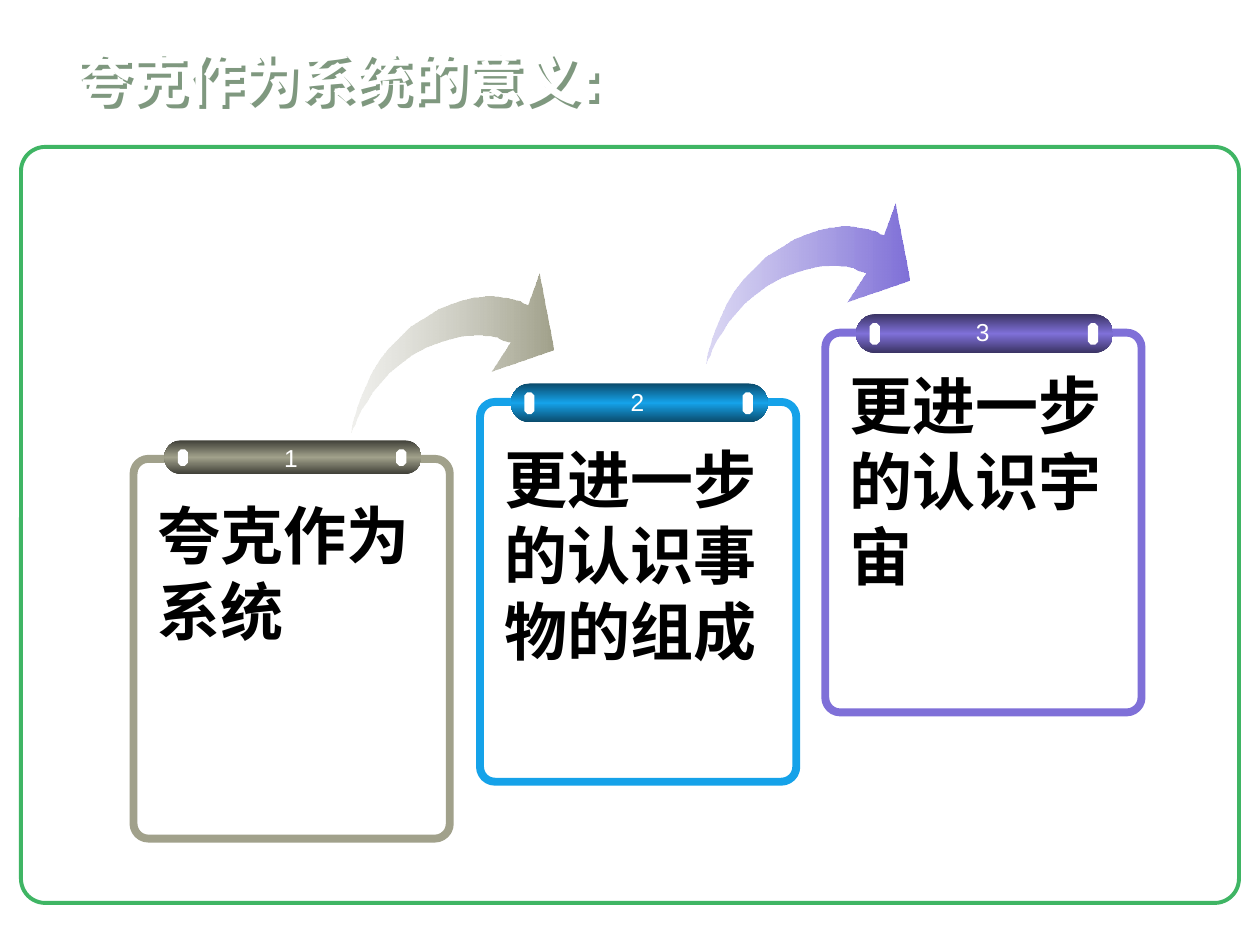
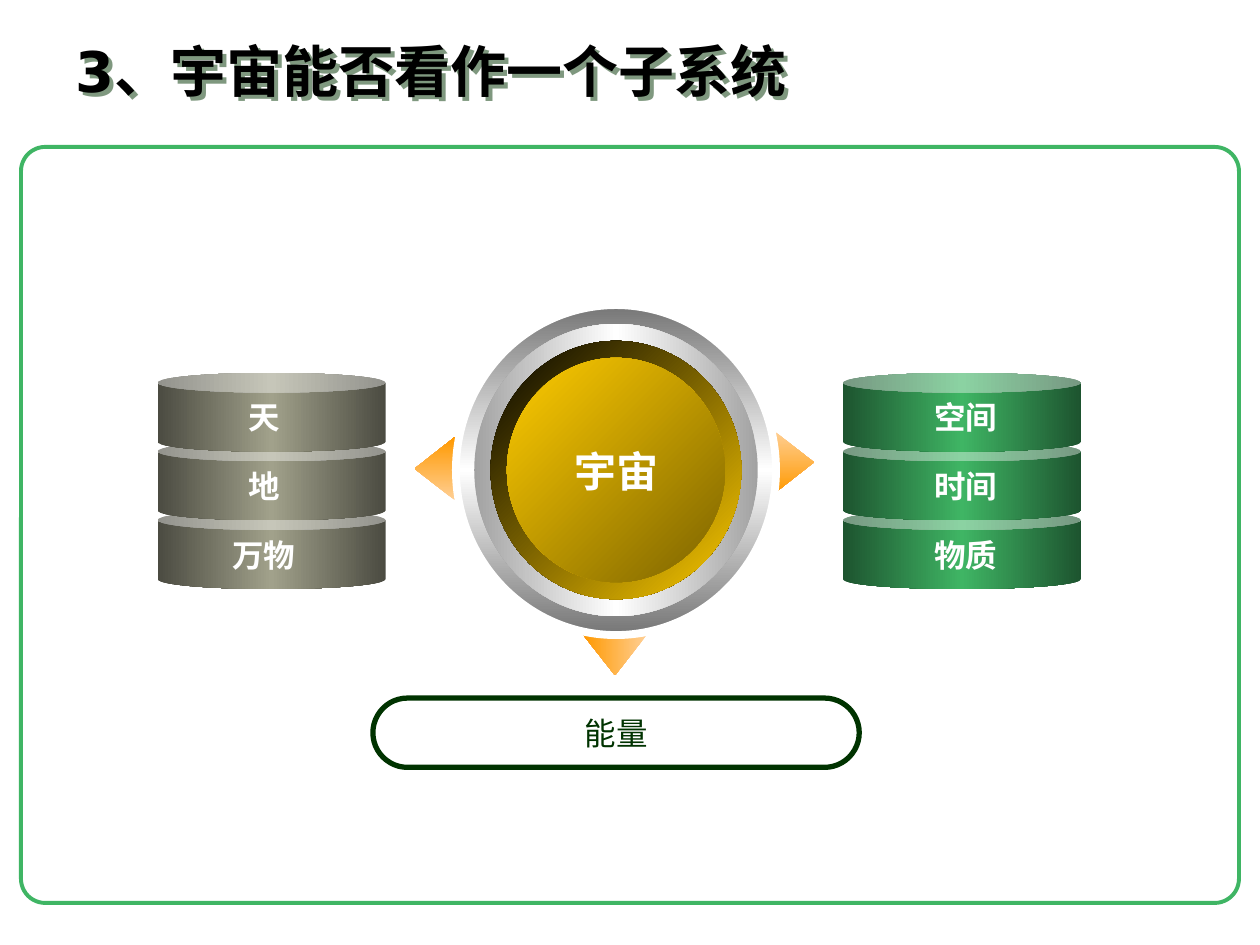
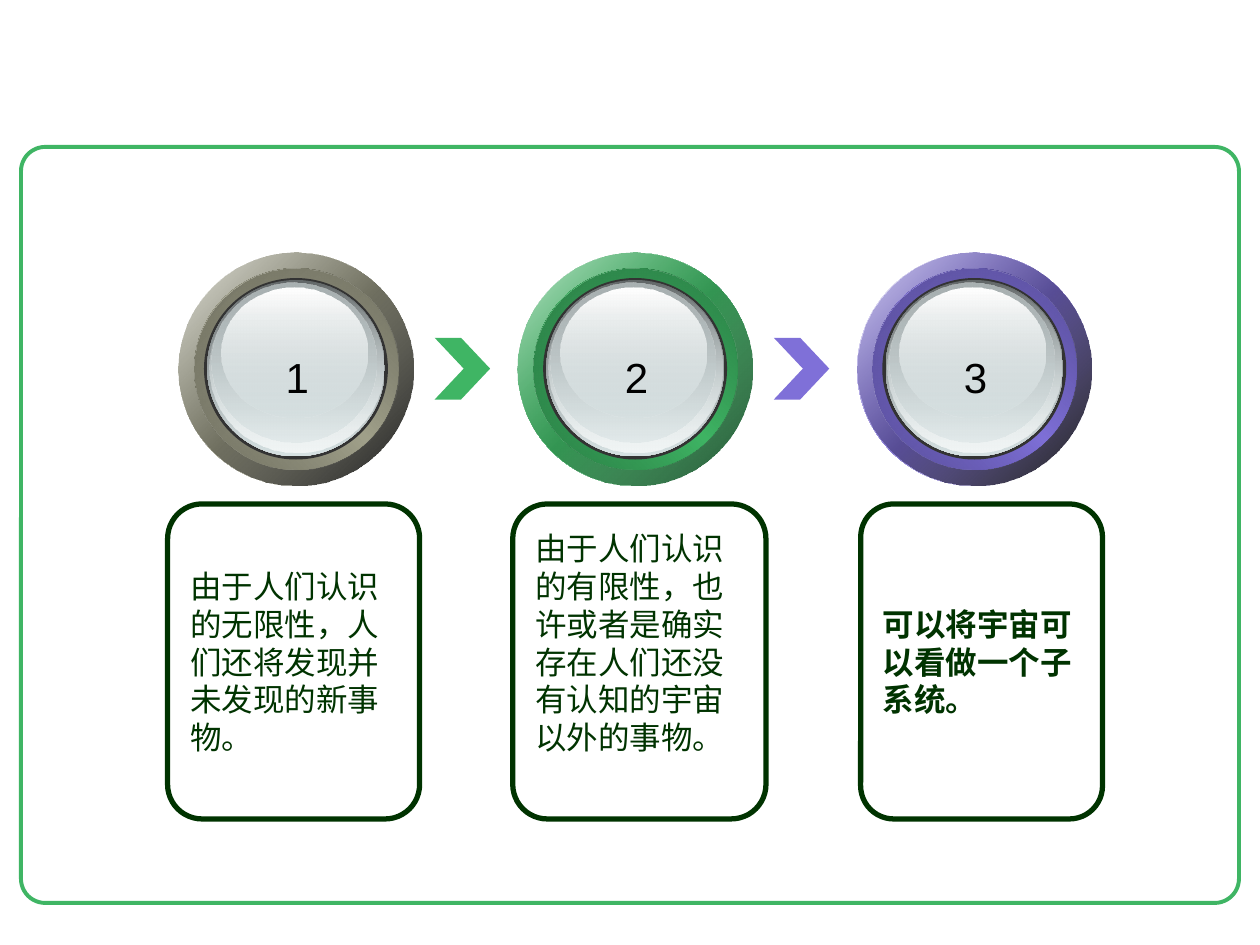
from dataclasses import dataclass

from pptx import Presentation
from pptx import util as u
from pptx.dml.color import RGBColor
from pptx.enum import shapes, text
from pptx.oxml import parse_xml
from pptx.oxml.ns import nsdecls, qn

Pt = u.Pt
G = shapes.MSO_SHAPE


@dataclass(frozen=True)
class Theme:
    green: str = "3FB564"
    olive: str = "A1A18B"
    purple: str = "7F70D8"
    blue: str = "15A2E9"
    dark: str = "003300"
    gold: str = "FFCC00"
    orange: str = "FF9900"
    glass: str = "D6E1E2"
    rim: str = "333333"
    white: str = "FFFFFF"
    black: str = "000000"
    sans: str = "Arial"
    head: str = "DejaVu Sans"
    title_pt: int = 32
    card_pt: int = 36
    big_pt: int = 24
    body_pt: int = 18
    number_pt: int = 14


T = Theme()


def draw(s, kind, box, fill=None, line=None, width=1, adj=()):
    """Add a preset shape, a freeform (kind is a point list) or a text box (kind is None).

    fill is a colour or (angle, (position, colour[, opacity]), ...), in percent.
    """
    if kind is None:
        sp = s.shapes.add_textbox(*map(Pt, box))
    elif isinstance(kind, list):
        pts = [(Pt(box[0] + x), Pt(box[1] + y)) for x, y in kind]
        builder = s.shapes.build_freeform(*pts[0])
        builder.add_line_segments(pts[1:], close=True)
        sp = builder.convert_to_shape()
    else:
        sp = s.shapes.add_shape(kind, *map(Pt, box))
    for i, value in enumerate(adj):
        sp.adjustments[i] = value
    sp.shadow.inherit = False

    if fill is None:
        sp.fill.background()
    elif isinstance(fill, str):
        sp.fill.solid()
        sp.fill.fore_color.rgb = RGBColor.from_string(fill)
    else:
        sp.fill.gradient()
        angle, *stops = fill
        gs = "".join(
            f'<a:gs pos="{pos * 1000}"><a:srgbClr val="{color}">'
            f'<a:alpha val="{(opacity or [100])[0] * 1000}"/></a:srgbClr></a:gs>'
            for pos, color, *opacity in stops)
        spPr = sp._element.spPr
        spPr.replace(spPr.find(qn("a:gradFill")), parse_xml(
            f'<a:gradFill {nsdecls("a")} rotWithShape="1"><a:gsLst>{gs}</a:gsLst>'
            f'<a:lin ang="{angle * 60000}" scaled="0"/></a:gradFill>'))

    if line:
        sp.line.color.rgb = RGBColor.from_string(line)
        sp.line.width = Pt(width)
    else:
        sp.line.fill.background()
    return sp


def write(sp, runs, size, color, bold=False, center=False, middle=False):
    """Fill one paragraph with (text, font) runs; centred text does not wrap."""
    tf = sp.text_frame
    tf.word_wrap = not center
    tf.vertical_anchor = text.MSO_ANCHOR.MIDDLE if middle else text.MSO_ANCHOR.TOP
    p = tf.paragraphs[0]
    p.alignment = text.PP_ALIGN.CENTER if center else text.PP_ALIGN.LEFT
    p.font.size = Pt(size)
    p.font.bold = bold
    p.font.color.rgb = RGBColor.from_string(color)
    for words, font in runs:
        r = p.add_run()
        r.text = words
        r.font.name = font


prs = Presentation()
prs.slide_width, prs.slide_height = Pt(720), Pt(540)

# Frame and title on every slide
titles = [
    ("夸克作为系统的意义:", T.white, 23.8),
    ("3、宇宙能否看作一个子系统", T.black, 19),
    None,
]
slides = []
for title in titles:
    s = prs.slides.add_slide(prs.slide_layouts[6])
    slides.append(s)
    draw(s, G.ROUNDED_RECTANGLE, (12, 84, 696, 432), line=T.green, width=2.25, adj=[0.032])
    if title:
        words, color, top = title
        sp = draw(s, None, (36, top, 678, 42))
        write(sp, [(words, T.head)], T.title_pt, color, bold=True, middle=True)
        sp._element.spPr.find(qn("a:effectLst")).append(parse_xml(
            f'<a:outerShdw {nsdecls("a")} dist="{Pt(3.2)}" dir="2700000" algn="ctr">'
            f'<a:srgbClr val="{T.dark}"><a:alpha val="50000"/></a:srgbClr></a:outerShdw>'))

# Slide 1: three rising cards joined by curved arrows
s = slides[0]
curved_arrow = [
    (0, 91), (0.7, 88.6), (2.2, 86.4), (3.6, 82.1), (5.8, 77.8), (9.4, 72.7),
    (12.2, 67.7), (16.6, 62.6), (21.6, 56.9), (28, 51.8), (34.6, 46.8),
    (42.5, 42.5), (50.4, 39.6), (57.6, 37.4), (64, 36), (69.8, 35.3),
    (74.9, 35.3), (79.9, 36), (83.5, 36.7), (86.4, 38.2), (90.7, 39.6),
    (79.9, 56.2), (115.6, 43.9), (107.3, 0), (100.8, 18), (98.6, 17.3),
    (96.5, 15.8), (93.6, 15.1), (90.7, 14.4), (86.4, 13.7), (81.4, 13),
    (76.3, 13), (69.8, 13.7), (63.4, 15.1), (56.9, 17.3), (49.7, 20.2),
    (41.8, 25.2), (33.8, 30.2), (27.4, 36.7), (20.9, 43.2), (15.8, 49.7),
    (11.5, 56.9), (8.6, 63.4), (5.8, 69.8), (3.6, 75.6), (2.2, 80.6), (0.7, 85),
]
for left, top, pale, color in [(200.9, 156.2, "D0D0C7", T.olive),
                               (403.9, 116.6, "9186DC", T.purple)]:
    draw(s, curved_arrow, (left, top), (0, (0, pale, 32), (100, color)))

cards = [
    (76.3, 262.2, 19.4, T.olive, "3F3F37", "夸克作为系统", 18),
    (274.3, 229.7, 22.3, T.blue, "0A4A6B", "更进一步的认识事物的组成", 18.7),
    (471.6, 190.1, 22.3, T.purple, "3A3363", "更进一步的认识宇宙", 15.8),
]
for number, (left, top, bar_h, color, shade, words, drop) in enumerate(cards, 1):
    draw(s, G.ROUNDED_RECTANGLE, (left, top, 180.7, 217), line=color, width=4.5, adj=[0.047])
    bar_x, bar_y = left + 17.6, top - 10.6
    draw(s, G.ROUNDED_RECTANGLE, (bar_x, bar_y, 146.9, bar_h),
         (90, (0, shade), (50, color), (100, shade)), adj=[0.5])
    for peg in (7.7, 132.5):
        draw(s, G.OCTAGON, (bar_x + peg, bar_y + 5.2, 5.8, bar_h - 10), T.white)
    write(draw(s, None, (bar_x + 61.2, bar_y - 1.7, 22.3, 23.8)),
          [(str(number), T.sans)], T.number_pt, T.white, center=True)
    write(draw(s, None, (left + 6.7, top + drop, 167.8, 136.8)),
          [(words, T.sans)], T.card_pt, T.black, bold=True)

# Slide 2: a dial with pointers, two stacks and a pill
s = slides[1]
for left, top, turn in [(230.4, 256.3, 270), (435.6, 252.7, 90), (333.4, 362.9, 180)]:
    sp = draw(s, G.UP_ARROW, (left, top, 36, 23),
              (0, (0, "FFCF94"), (100, T.orange)), adj=[0.52, 1])
    sp.rotation = turn

dial_x, dial_y = 352, 268.6
dial = [
    (182.9, 188.6, (90, (0, "767676"), (50, T.white), (100, "767676")), T.white),
    (162, 167, (0, (0, "A2A2A2"), (50, T.white), (100, "A2A2A2")), None),
    (143.3, 147.6, (45, (0, T.black), (100, T.gold)), None),
    (124.6, 128.2, (45, (0, T.gold), (100, "7C6300")), None),
]
for w, h, fill, line in dial:
    draw(s, G.OVAL, (dial_x - w / 2, dial_y - h / 2, w, h), fill, line, 4.5)
write(draw(s, None, (321.1, 251.3, 62.6, 36)), [("宇宙", T.sans)],
      T.big_pt, T.white, bold=True, center=True)

stacks = [
    (90, 130.3, 150.8, T.olive, "4B4B41", ("天", "地", "万物")),
    (481.7, 136.1, 551.9, T.green, "1D542F", ("空间", "时间", "物质")),
]
for left, width, label_x, color, shade, layers in stacks:
    for row, words in reversed(list(enumerate(layers))):
        top = 213.1 + 39.25 * row
        draw(s, G.CAN, (left, top, width, 45),
             (0, (0, shade), (50, color), (100, shade)), adj=[0.25])
        write(draw(s, None, (label_x - 25.5, top + 11, 51, 28.8)),
              [(words, T.sans)], T.body_pt, T.white, bold=True, center=True)

pill = draw(s, G.ROUNDED_RECTANGLE, (213.1, 398.9, 277.9, 39.6), T.white, T.dark, 3, [0.5])
write(pill, [("能量", T.head)], T.body_pt, T.dark, center=True, middle=True)

# Slide 3: three glass buttons over three cards
s = slides[2]
notes = [
    (95.8, 144, [("由于人们认识的无限性，人们还将发现并未发现的新事物。", T.head)], False, 3.6),
    (293, 144.7, [("由于人们认识的有限性，", T.head),
                  ("也许或者是确实存在人们还没有认知的宇宙以外的事物。", T.sans)], False, 25.2),
    (491.8, 138.2, [("可以将", T.sans), ("宇宙可以看做一个子系统。", T.head)], True, 3.6),
]
for left, width, runs, bold, bottom in notes:
    sp = draw(s, G.ROUNDED_RECTANGLE, (left, 288, width, 180), line=T.dark, width=3, adj=[0.137])
    write(sp, runs, T.body_pt, T.dark, bold=bold, middle=True)
    sp.text_frame.margin_bottom = Pt(bottom)

first_x, button_y, step = 102.2, 144.5, 193.8
outer, ring = (0, 0, 134, 133.2), (8.8, 8.8, 116.6, 115.2)
glass_layers = [
    ((14.4, 14.4, 105.1, 103.7), T.rim),
    ((16.2, 15.5, 101.5, 100.8), (90, (0, "636869"), (100, T.glass))),
    ((17.3, 16.2, 99.4, 97.9), (90, (0, T.glass, 0), (100, "F1F5F5"))),
    ((18.7, 16.9, 94.3, 91.4), (90, (0, "AAB2B3"), (100, T.glass, 48))),
    ((24.3, 20, 83.5, 74.2), (90, (0, T.white), (100, T.glass, 38))),
]
buttons = [
    (T.olive, (100, T.black, 90), "5F5F52", "6E6E5F"),
    (T.green, (100, "1D542F"), "226B3A", "2A7A44"),
    (T.purple, (100, T.black, 90), "4A4285", "574D97"),
]
for i, (color, edge, shade, tint) in enumerate(buttons):
    left = first_x + step * i
    if i:
        draw(s, G.CHEVRON, (left - 47.6, 193, 31.7, 35.3), color, adj=[0.525])
    ring_layers = [
        (outer, (45, (0, T.white), (50, color), (100, T.white))),
        (outer, (45, (0, color, 32), edge)),
        (ring, (315, (0, shade), (50, color), (100, shade))),
        (ring, (45, (0, tint), (100, color, 0))),
    ]
    for (x, y, w, h), fill in ring_layers + glass_layers:
        draw(s, G.OVAL, (left + x, button_y + y, w, h), fill)
    write(draw(s, None, (left + 53.7, 197.3, 28, 36)), [(str(i + 1), T.sans)],
          T.big_pt, T.black, center=True)

prs.save("out.pptx")
